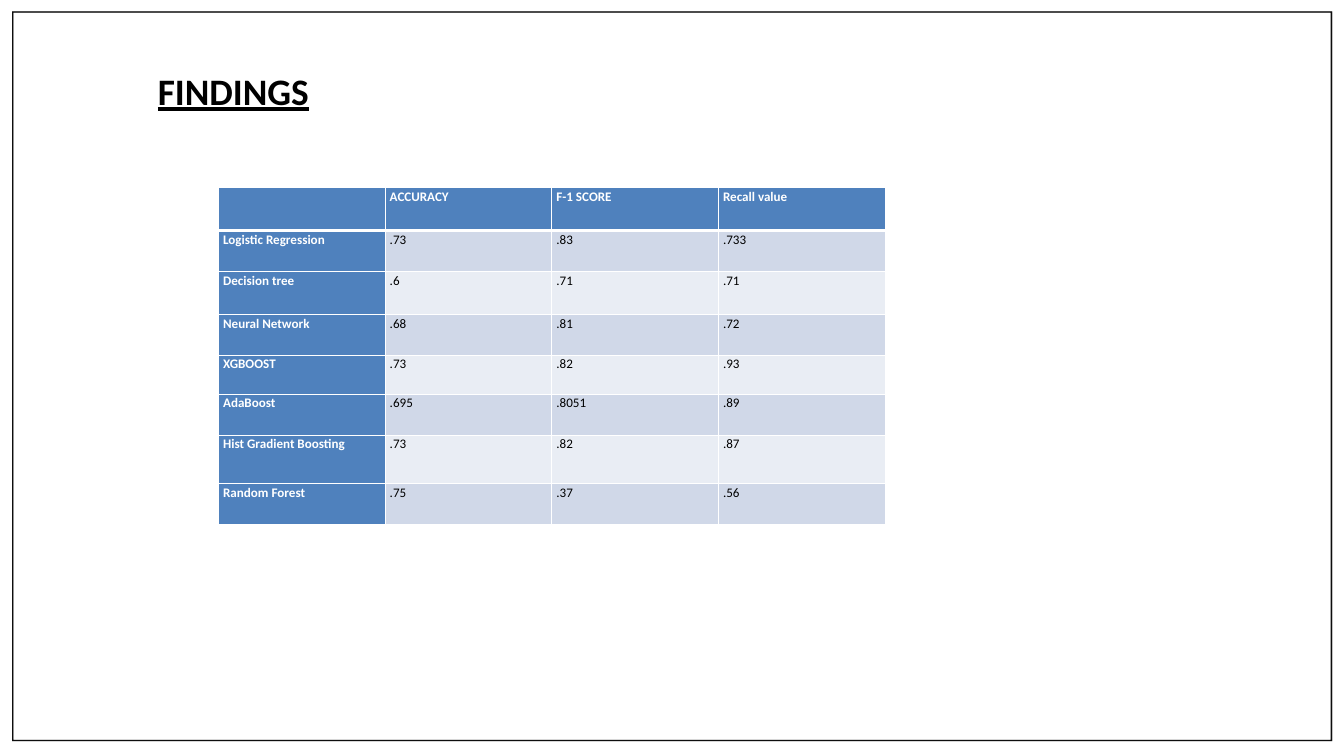
from lxml import etree
from pptx import Presentation
from pptx.dml.color import RGBColor
from pptx.enum.text import MSO_AUTO_SIZE
from pptx.oxml.ns import qn
from pptx.util import Inches, Pt

FONT = "Calibri"
BLACK = RGBColor(0x00, 0x00, 0x00)
WHITE = RGBColor(0xFF, 0xFF, 0xFF)
GREY = RGBColor(0xA2, 0xA2, 0xA2)
INK = RGBColor(0x0D, 0x0D, 0x0D)
BLUE = RGBColor(0x4F, 0x81, 0xBD)
BANDS = RGBColor(0xD0, 0xD8, 0xE8), RGBColor(0xE9, 0xED, 0xF4)

FINDINGS = [
    ("", "ACCURACY", "F-1 SCORE", "Recall value"),
    ("Logistic Regression", ".73", ".83", ".733"),
    ("Decision tree", ".6", ".71", ".71"),
    ("Neural Network", ".68", ".81", ".72"),
    ("XGBOOST", ".73", ".82", ".93"),
    ("AdaBoost", ".695", ".8051", ".89"),
    ("Hist Gradient Boosting", ".73", ".82", ".87"),
    ("Random Forest", ".75", ".37", ".56"),
]
ROW_HEIGHTS = [0.64, 0.61, 0.64, 0.61, 0.58, 0.61, 0.72, 0.61]


def style_run(r, **formats):
    r.font.name = FONT
    r.font.color.rgb = formats.pop("color")
    for name, value in formats.items():
        setattr(r.font, name, value)


def add_frame(s, left, top, width, height, color, thickness=0.02):
    """Draw a page border as a filled ring."""
    def corners(inset):
        x1, y1 = left + inset, top + inset
        x2, y2 = left + width - inset, top + height - inset
        return [(Inches(x), Inches(y))
                for x, y in ((x1, y1), (x2, y1), (x2, y2), (x1, y2))]

    outer, inner = corners(0), corners(thickness)
    builder = s.shapes.build_freeform(*outer[0])
    builder.add_line_segments(outer[1:], close=True)
    builder.move_to(*inner[0])
    builder.add_line_segments(inner[:0:-1], close=True)
    sp = builder.convert_to_shape()
    sp.shadow.inherit = False
    sp.fill.solid()
    sp.fill.fore_color.rgb = color
    sp.line.fill.background()


def add_title(s, left, top, width, height):
    box = s.shapes.add_textbox(Inches(left), Inches(top), Inches(width), Inches(height))
    tf = box.text_frame
    tf.word_wrap = True
    tf.auto_size = MSO_AUTO_SIZE.SHAPE_TO_FIT_TEXT
    r = tf.paragraphs[0].add_run()
    r.text = "FINDINGS"
    style_run(r, size=Pt(40), bold=True, underline=True, color=BLACK)


def set_borders(cell, **widths):
    """Give the cell white borders; widths are points by side (L, R, T, B)."""
    tc_pr = cell._tc.get_or_add_tcPr()
    for side in "LRTB":
        ln = etree.SubElement(tc_pr, qn(f"a:ln{side}"), w=str(Pt(widths.get(side, 1))))
        fill = etree.SubElement(ln, qn("a:solidFill"))
        etree.SubElement(fill, qn("a:srgbClr"), val=str(WHITE))


def fill_cell(cell, text, row, col):
    heading = row == 0 or col == 0
    set_borders(cell, **{0: {"B": 3}, 1: {"T": 3}}.get(row, {}))
    cell.fill.solid()
    cell.fill.fore_color.rgb = BLUE if heading else BANDS[(row - 1) % 2]
    cell.margin_left = cell.margin_right = Inches(0.07)
    cell.margin_top = cell.margin_bottom = 0
    p = cell.text_frame.paragraphs[0]
    p.line_spacing = 1.07
    p.space_after = Pt(8)
    if text:
        r = p.add_run()
        r.text = text
        style_run(r, size=Pt(14), bold=heading, color=WHITE if heading else BLACK)


def add_findings_table(s, left, top, width):
    table = s.shapes.add_table(
        len(FINDINGS), len(FINDINGS[0]), Inches(left), Inches(top),
        Inches(width), Inches(sum(ROW_HEIGHTS))).table
    for row, (values, height) in enumerate(zip(FINDINGS, ROW_HEIGHTS)):
        table.rows[row].height = Inches(height)
        for col, text in enumerate(values):
            fill_cell(table.cell(row, col), text, row, col)


def main():
    prs = Presentation()
    prs.slide_width, prs.slide_height = Inches(20), Inches(11.25)
    s = prs.slides.add_slide(prs.slide_layouts[6])
    add_frame(s, 0.18, 0.17, 19.65, 10.86, GREY)
    add_frame(s, 0.18, 0.17, 19.64, 10.86, INK)
    add_findings_table(s, 3.25, 2.79, 9.92)
    add_title(s, 2.25, 0.96, 7.75, 0.77)
    prs.save("out.pptx")


if __name__ == "__main__":
    main()
